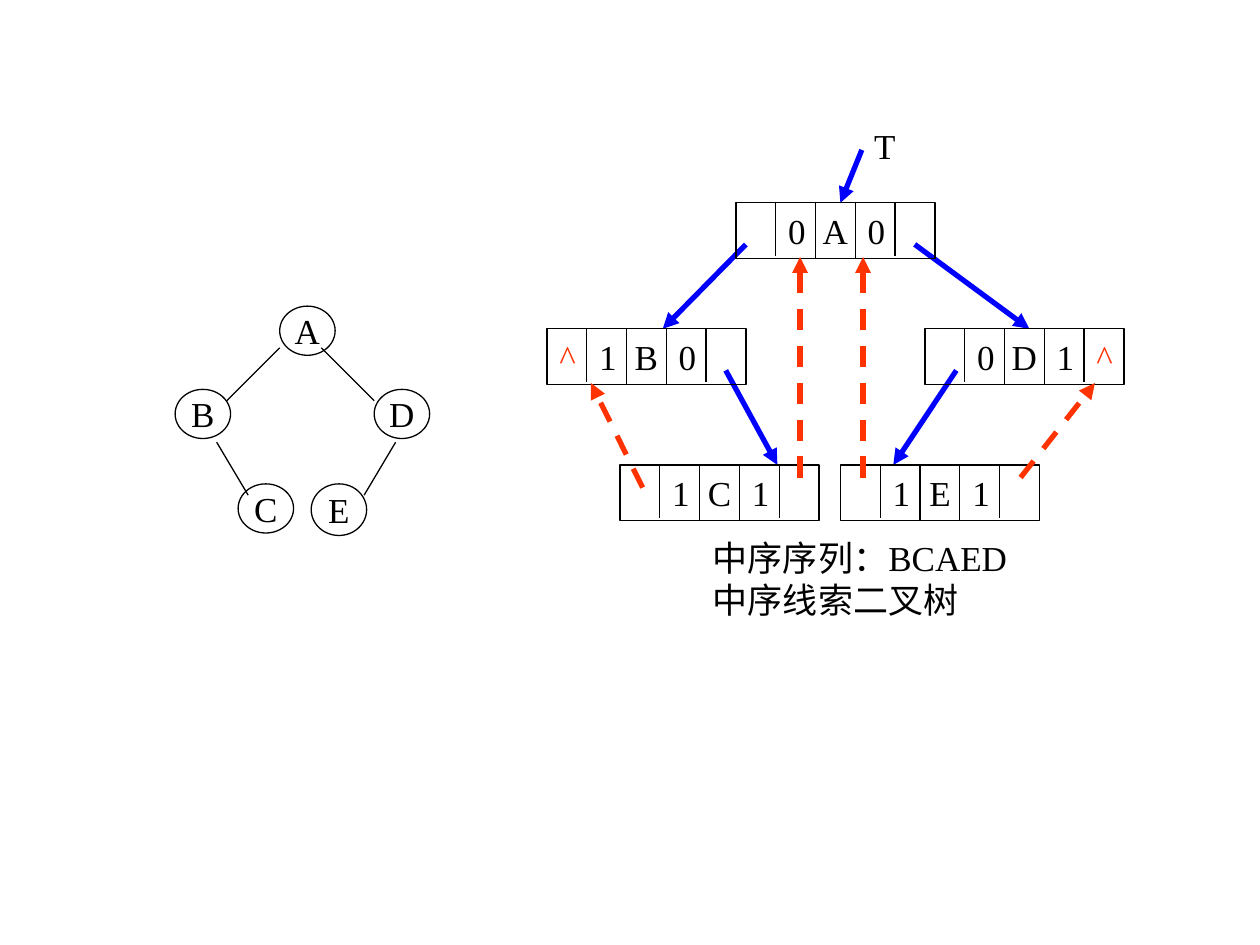
from pptx import Presentation
from pptx.dml.color import RGBColor
from pptx.enum.dml import MSO_LINE
from pptx.enum.shapes import MSO_CONNECTOR, MSO_SHAPE
from pptx.enum.text import MSO_ANCHOR, PP_ALIGN
from pptx.oxml.ns import qn
from pptx.util import Inches, Pt
from lxml.etree import SubElement

BLACK = RGBColor(0, 0, 0)
BLUE = RGBColor(0, 0, 255)
RED = RGBColor(255, 51, 0)

TREE_NODES = [
    ("A", 2.22, 2.43, 0.39), ("B", 1.39, 3.09, 0.39), ("C", 1.89, 3.84, 0.39),
    ("D", 2.97, 3.09, 0.39), ("E", 2.47, 3.84, 0.41),
]
TREE_EDGES = [
    (2.22, 2.76, 1.8, 3.18), (2.55, 2.76, 2.97, 3.18),
    (1.72, 3.51, 1.97, 3.93), (3.14, 3.51, 2.89, 3.93),
]
RECORDS = [
    ("A", 5.84, 1.61, {1: "0", 3: "0"}),
    ("B", 4.34, 2.61, {0: "^", 1: "1", 3: "0"}),
    ("D", 7.34, 2.61, {1: "0", 3: "1", 4: "^"}),
    ("C", 4.92, 3.69, {1: "1", 3: "1"}),
    ("E", 6.67, 3.69, {1: "1", 3: "1"}),
]
CHILD_LINKS = [
    (5.92, 1.94, 5.26, 2.61), (7.26, 1.94, 8.17, 2.61),
    (5.76, 2.94, 6.17, 3.69), (7.59, 2.94, 7.09, 3.69),
    (6.84, 1.19, 6.67, 1.61),
]
THREADS = [
    (5.1, 3.87, 4.69, 3.04), (6.35, 3.79, 6.35, 2.04),
    (6.85, 3.79, 6.85, 2.04), (8.1, 3.79, 8.69, 3.04),
]
CAPTION = ["中序序列：BCAED", "中序线索二叉树"]
NODE_WIDTH = 0.44
RECORD_WIDTH, RECORD_HEIGHT, FIELDS = 1.58, 0.44, 5
FIELD_WIDTH = RECORD_WIDTH / FIELDS
DIVIDER_HEIGHTS = [0.42, 0.44, 0.44, 0.42]


def write(shape, lines, color=BLACK, align=PP_ALIGN.CENTER, anchor=MSO_ANCHOR.MIDDLE):
    frame = shape.text_frame
    frame.word_wrap = False
    frame.vertical_anchor = anchor
    frame.text = "\n".join(lines)
    for para in frame.paragraphs:
        para.alignment = align
        para.font.name = "Times New Roman"
        para.font.size = Pt(20)
        para.font.color.rgb = color


def add_outline(page, kind, box, label):
    shape = page.shapes.add_shape(kind, *map(Inches, box))
    shape.shadow.inherit = False
    shape.fill.background()
    shape.line.color.rgb = BLACK
    shape.line.width = Pt(0.75)
    write(shape, [label])


def add_text(page, box, lines, **style):
    write(page.shapes.add_textbox(*map(Inches, box)), lines, **style)


def add_line(page, ends, color=BLACK, width=0.75, arrow=False, dash=None):
    link = page.shapes.add_connector(MSO_CONNECTOR.STRAIGHT, *map(Inches, ends))
    link.line.color.rgb = color
    link.line.width = Pt(width)
    if dash:
        link.line.dash_style = dash
    if arrow:
        SubElement(link.line._get_or_add_ln(), qn("a:tailEnd"), type="triangle")
    SubElement(link._element.spPr, qn("a:effectLst"))


def add_record(page, label, left, top, fields):
    add_outline(page, MSO_SHAPE.RECTANGLE, (left, top, RECORD_WIDTH, RECORD_HEIGHT), label)
    for column, height in enumerate(DIVIDER_HEIGHTS, 1):
        x = left + column * FIELD_WIDTH
        add_line(page, (x, top, x, top + height))
    for column, value in fields.items():
        box = (left + column * FIELD_WIDTH, top, FIELD_WIDTH, RECORD_HEIGHT)
        add_text(page, box, [value], color=RED if value == "^" else BLACK)


def main():
    deck = Presentation()
    deck.slide_width, deck.slide_height = Inches(10), Inches(7.5)
    page = deck.slides.add_slide(deck.slide_layouts[6])

    for label, left, top, height in TREE_NODES:
        add_outline(page, MSO_SHAPE.OVAL, (left, top, NODE_WIDTH, height), label)
    for ends in TREE_EDGES:
        add_line(page, ends)
    for ends in CHILD_LINKS:
        add_line(page, ends, BLUE, 3, arrow=True)
    for record in RECORDS:
        add_record(page, *record)
    for ends in THREADS:
        add_line(page, ends, RED, 3, arrow=True, dash=MSO_LINE.DASH)

    plain = {"align": PP_ALIGN.LEFT, "anchor": MSO_ANCHOR.TOP}
    add_text(page, (6.84, 0.94, 0.37, 0.44), ["T"], **plain)
    add_text(page, (5.56, 4.21, 2.6, 0.77), CAPTION, **plain)
    deck.save("out.pptx")


if __name__ == "__main__":
    main()
